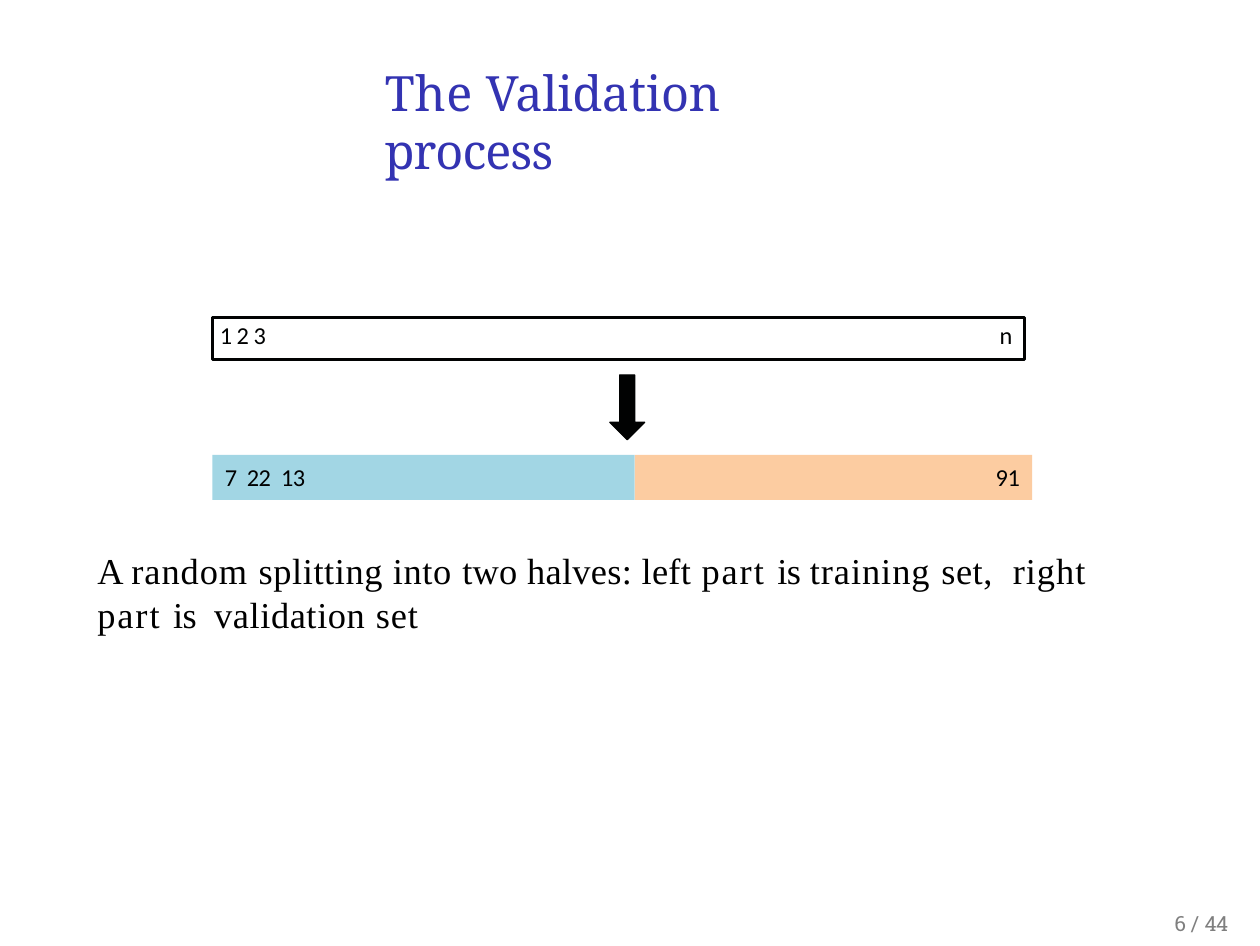
from lxml import etree
from pptx import Presentation
from pptx.dml.color import RGBColor
from pptx.enum.shapes import MSO_SHAPE
from pptx.enum.text import MSO_ANCHOR, MSO_AUTO_SIZE, PP_ALIGN
from pptx.oxml.ns import qn
from pptx.util import Inches, Pt

LEFT, RIGHT = PP_ALIGN.LEFT, PP_ALIGN.RIGHT
TOP = MSO_ANCHOR.TOP
GROW = MSO_AUTO_SIZE.SHAPE_TO_FIT_TEXT
RECT = MSO_SHAPE.RECTANGLE

# Content: runs are (text, letter spacing in points)
TITLE = [("The ", 0.1), ("Validation ", -0.1), ("process", -0.3)]
ALL_CASES = [("1 2 3\tn", -0.1)]
TRAINING = [("7  22", -0.1), (" ", 1.3), ("13", -0.1)]
VALIDATION = [("91", -0.1)]
EXPLANATION = [
    ("A ", 0.1), ("random ", 0.3), ("splitting into ", 0.2),
    ("two halves: left ", 0.1), ("part ", 0.6), ("is ", -0.1),
    ("training ", 0.3), ("set,  ", 0.2), ("right ", 0.3), ("part ", 0.6),
    ("is  ", -0.1), ("validation ", 0.2), ("set", 0.3),
]
PAGE = [("6 ", -0.1), ("/ ", 0), ("44", -0.1)]

COLORS = {"title": "3333B2", "ink": "010202", "text": "000000",
          "training": "A2D6E4", "validation": "FCCCA1", "page": "7F7F7F"}
FONTS = {  # typeface, size, colour
    "title": ("Noto Serif", 14, "title"),
    "case": ("Calibri", 7, "ink"),
    "text": ("Times New Roman", 10.5, "text"),
    "page": ("Roboto Slab", 6, "page"),
}

# Layout: slide size in points, the rest in inches
SLIDE_WIDTH, SLIDE_HEIGHT = 363, 272.5
BAR_LEFT, SPLIT, BAR_RIGHT = 0.85, 2.54, 4.13
CASES_TOP, CASES_WIDTH, CASES_HEIGHT = 1.27, 3.25, 0.17
HALVES_TOP, HALVES_HEIGHT = 1.82, 0.18
ARROW_CENTER, ARROW_TOP, ARROW_NECK, ARROW_TIP = 2.51, 1.5, 1.69, 1.76
SHAFT_HALF, HEAD_HALF = 0.03, 0.07
LAST_CASE_TAB = 3.12


def color(key):
    return RGBColor.from_string(COLORS[key])


def write(shape, runs, style, inset=0, indent=0, right=0, align=LEFT, **spacing):
    frame = shape.text_frame
    margins = {"margin_left": 0, "margin_top": Inches(inset),
               "margin_right": Inches(right), "margin_bottom": 0}
    for name, value in {**margins, "word_wrap": True, "auto_size": GROW,
                        "vertical_anchor": TOP}.items():
        setattr(frame, name, value)
    paragraph = frame.paragraphs[0]
    for name, value in {"alignment": align, **spacing}.items():
        setattr(paragraph, name, value)
    paragraph._p.get_or_add_pPr().set("marL", str(Inches(indent)))
    typeface, size, ink = FONTS[style]
    for text, tracking in runs:
        run = paragraph.add_run()
        run.text = text
        for name, value in {"name": typeface, "size": Pt(size), "bold": False}.items():
            setattr(run.font, name, value)
        run.font.color.rgb = color(ink)
        run._r.get_or_add_rPr().set("spc", str(round(tracking * 100)))
    return paragraph


def paint(shape, fill=None, line=None, width=0):
    shape.shadow.inherit = False
    if fill:
        shape.fill.solid()
        shape.fill.fore_color.rgb = color(fill)
    else:
        shape.fill.background()
    if line:
        shape.line.color.rgb = color(line)
        shape.line.width = Pt(width)
    else:
        shape.line.fill.background()


def bar(slide, left, top, right, height, **look):
    shape = slide.shapes.add_shape(
        RECT, Inches(left), Inches(top), Inches(right - left), Inches(height))
    paint(shape, **look)
    return shape


def main():
    deck = Presentation()
    deck.slide_width, deck.slide_height = Pt(SLIDE_WIDTH), Pt(SLIDE_HEIGHT)
    slide = deck.slides.add_slide(deck.slide_layouts[5])

    # Title
    title = slide.shapes.title
    title.left, title.top, title.width, title.height = map(Inches, (1.53, 0.23, 1.99, 0.27))
    write(title, TITLE, "title", inset=0.02, indent=0.01, space_before=Pt(1.4))

    # All cases in order
    cases = bar(slide, BAR_LEFT, CASES_TOP, BAR_LEFT + CASES_WIDTH, CASES_HEIGHT,
                line="ink", width=0.93)
    order = write(cases, ALL_CASES, "case", inset=0.01, indent=0.03, space_before=Pt(0.9))
    tabs = etree.SubElement(order._p.get_or_add_pPr(), qn("a:tabLst"))
    etree.SubElement(tabs, qn("a:tab"), pos=str(Inches(LAST_CASE_TAB)), algn="l")

    # Random halves
    training = bar(slide, BAR_LEFT, HALVES_TOP, SPLIT, HALVES_HEIGHT, fill="training")
    write(training, TRAINING, "case", inset=0.03, indent=0.05, space_before=Pt(1.9))
    validation = bar(slide, SPLIT, HALVES_TOP, BAR_RIGHT, HALVES_HEIGHT, fill="validation")
    write(validation, VALIDATION, "case", inset=0.03, right=0.05, align=RIGHT,
          space_before=Pt(1.9))

    # Arrow between the bars: body, then outline
    half = [(SHAFT_HALF, ARROW_TOP), (SHAFT_HALF, ARROW_NECK), (HEAD_HALF, ARROW_NECK)]
    outline = [(ARROW_CENTER + x, y) for x, y in half] + [(ARROW_CENTER, ARROW_TIP)]
    outline += [(ARROW_CENTER - x, y) for x, y in reversed(half)]
    points = [(Inches(x), Inches(y)) for x, y in outline]
    for look in ({"fill": "ink"}, {"line": "ink", "width": 0.31}):
        builder = slide.shapes.build_freeform(*points[0])
        builder.add_line_segments(points[1:], close=True)
        paint(builder.convert_to_shape(), **look)

    # Explanation and page number
    explanation = slide.shapes.add_textbox(*map(Inches, (0.38, 2.18, 4, 0.4)))
    write(explanation, EXPLANATION, "text", inset=0.01, indent=0.01,
          line_spacing=1.02, space_before=Pt(0.6))
    page = slide.shapes.add_textbox(*map(Inches, (4.62, 3.65, 0.33, 0.11)))
    write(page, PAGE, "page", indent=0.08, line_spacing=Pt(6.7))

    deck.save("out.pptx")


if __name__ == "__main__":
    main()
